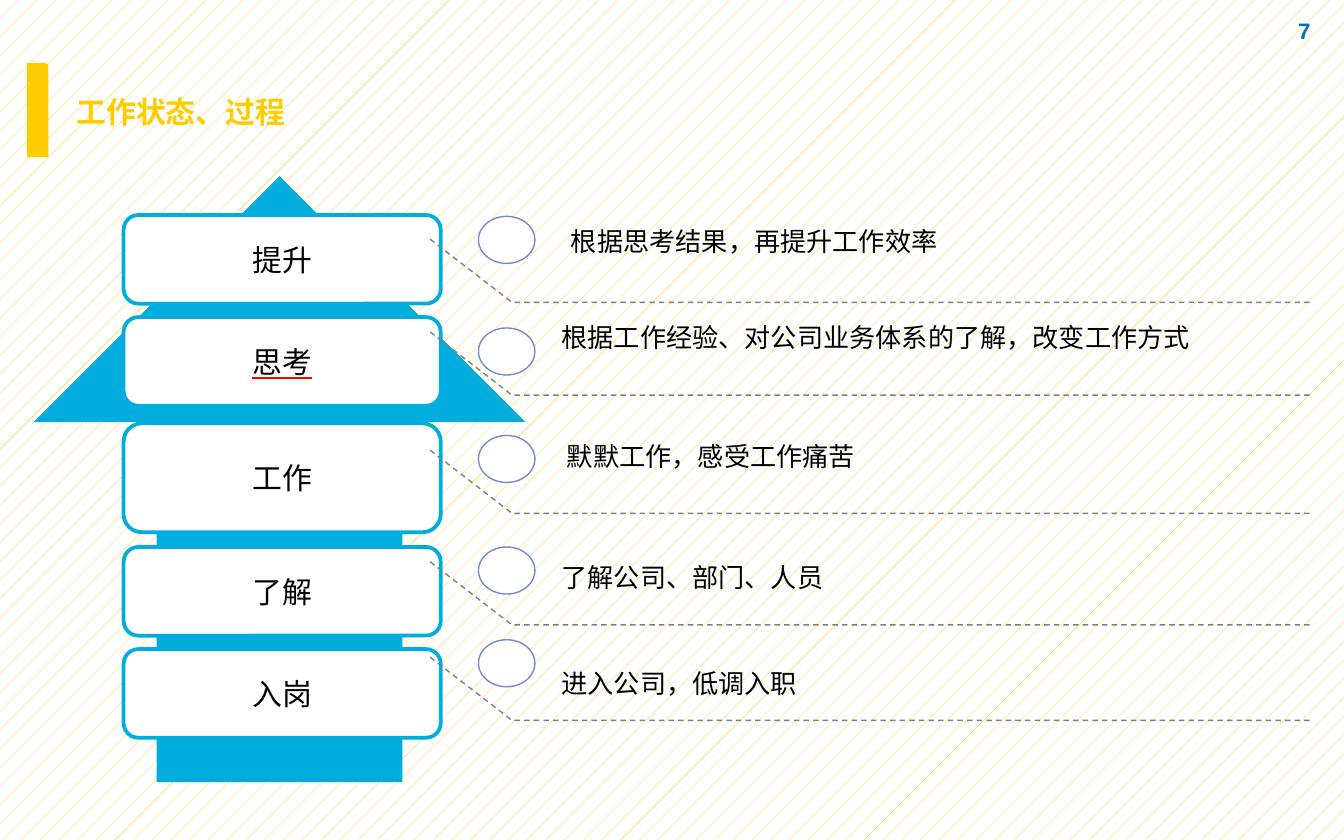
import pptx
import pptx.dml.color
import pptx.enum.dml
import pptx.enum.shapes
import pptx.enum.text
import pptx.oxml
import pptx.oxml.ns
import pptx.util

RGB = pptx.dml.color.RGBColor
SHAPE = pptx.enum.shapes.MSO_SHAPE
ALIGN = pptx.enum.text.PP_ALIGN
YELLOW = RGB(0xFF, 0xCC, 0x00)
WHITE = RGB(0xFF, 0xFF, 0xFF)
BLACK = RGB(0, 0, 0)
CYAN = RGB(0x00, 0xAD, 0xDC)
BLUE = RGB(0x00, 0x70, 0xC0)
PERIWINKLE = RGB(0x73, 0x8A, 0xC8)
GRAY = RGB(0x7F, 0x7F, 0x7F)
RED = RGB(0xFF, 0, 0)
FONT, NUMBER_FONT = "Noto Sans CJK SC", "Arial"
COLUMNS, ROWS = 40, 25


class Deck:
    """Style, grid and current slide."""

    def __init__(self, prs):
        self.cell_w = prs.slide_width / COLUMNS
        self.cell_h = prs.slide_height / ROWS
        self.slide = prs.slides.add_slide(prs.slide_layouts[5])
        fill = self.slide.background.fill
        fill.patterned()
        fill.pattern = pptx.enum.dml.MSO_PATTERN.PERCENT_5
        fill.fore_color.rgb, fill.back_color.rgb = YELLOW, WHITE

    def point(self, col, row):
        return round(col * self.cell_w), round(row * self.cell_h)

    def frame(self, col, row, cols, rows):
        return self.point(col, row) + self.point(cols, rows)

    def set_text(self, sp, text, size, color=BLACK, font=FONT, bold=False, align=ALIGN.LEFT):
        tf = sp.text_frame
        tf.text = text
        tf.word_wrap = True
        tf.vertical_anchor = pptx.enum.text.MSO_ANCHOR.MIDDLE
        p = tf.paragraphs[0]
        p.alignment = align
        r = p.runs[0]
        r.font.size, r.font.bold, r.font.name = pptx.util.Pt(size), bold, font
        r.font.color.rgb = color
        # East Asian typeface
        ea = pptx.oxml.parse_xml(f'<a:ea {pptx.oxml.ns.nsdecls("a")} typeface="{font}"/>')
        r.font._element.find(pptx.oxml.ns.qn("a:latin")).addnext(ea)
        return p

    def title(self, text, *frame):
        sp = self.slide.shapes.title
        sp.left, sp.top, sp.width, sp.height = self.frame(*frame)
        self.set_text(sp, text, 16, YELLOW, bold=True).line_spacing = 1.14

    def text(self, text, *frame, size=14, **style):
        self.set_text(self.slide.shapes.add_textbox(*self.frame(*frame)), text, size, **style)

    def outline(self, sp, color, width):
        sp.line.color.rgb = color
        sp.line.width = pptx.util.Pt(width)

    def shape(self, kind, *frame, fill=WHITE, line=None, width=0.74):
        sp = self.slide.shapes.add_shape(kind, *self.frame(*frame))
        sp.shadow.inherit = False
        sp.fill.solid()
        sp.fill.fore_color.rgb = fill
        if line is None:
            sp.line.fill.background()
        else:
            self.outline(sp, line, width)
        return sp

    def stage(self, name, *frame, underline=None):
        sp = self.shape(SHAPE.ROUNDED_RECTANGLE, *frame, line=CYAN, width=2)
        r = self.set_text(sp, name, 16, align=ALIGN.CENTER).runs[0]
        if underline is not None:
            r.font.underline = True
            u_fill = pptx.oxml.parse_xml(
                f'<a:uFill {pptx.oxml.ns.nsdecls("a")}><a:solidFill>'
                f'<a:srgbClr val="{underline}"/></a:solidFill></a:uFill>')
            r.font._element.find(pptx.oxml.ns.qn("a:latin")).addprevious(u_fill)

    def leader(self, start, *points):
        builder = self.slide.shapes.build_freeform(*self.point(*start))
        builder.add_line_segments([self.point(*pt) for pt in points], close=False)
        sp = builder.convert_to_shape()
        sp.shadow.inherit = False
        sp.fill.background()
        self.outline(sp, GRAY, 0.74)
        sp.line.dash_style = pptx.enum.dml.MSO_LINE.DASH


prs = pptx.Presentation()
prs.slide_width, prs.slide_height = pptx.util.Inches(10), pptx.util.Inches(6.25)
deck = Deck(prs)

# Heading and page number
deck.title("工作状态、过程", 1.88, 2.48, 24.44, 1.52)
deck.shape(SHAPE.ROUND_1_RECTANGLE, 0.8, 1.88, 0.64, 2.8, fill=YELLOW)
deck.text("7", 30.08, 0.24, 9.32, 1.32, size=12, color=BLUE, font=NUMBER_FONT,
          bold=True, align=ALIGN.RIGHT)

# Rising arrow behind the stages
deck.shape(SHAPE.UP_ARROW, 1, 5.24, 14.64, 18.04, fill=CYAN)

# name, box row, box height, underline, note, note column, note row, leader row, circle row
STAGES = [
    ("提升", 6.4, 2.64, None, "根据思考结果，再提升工作效率", 16.6, 5.72, 7.12, 6.44),
    ("思考", 9.44, 2.64, RED, "根据工作经验、对公司业务体系的了解，改变工作方式",
     16.32, 8.6, 9.88, 9.76),
    ("工作", 12.6, 3.24, None, "默默工作，感受工作痛苦", 16.48, 12.12, 13.4, 12.96),
    ("了解", 16.28, 2.64, None, "了解公司、部门、人员", 16.32, 15.72, 16.72, 16.28),
    ("入岗", 19.32, 2.64, None, "进入公司，低调入职", 16.32, 18.88, 19.56, 19.04),
]
LEADER_DROP = 1.88

# Stages, each with its leader, circle and note
for name, box, height, underline, note, note_col, note_row, lead, circle in STAGES:
    deck.stage(name, 3.68, box, 9.44, height, underline=underline)
    deck.leader((12.8, lead), (15.24, lead + LEADER_DROP), (39, lead + LEADER_DROP))
    deck.shape(SHAPE.OVAL, 14.24, circle, 1.68, 1.4, line=PERIWINKLE)
    deck.text(note, note_col, note_row, 22.04, 2.88)

prs.save("out.pptx")
